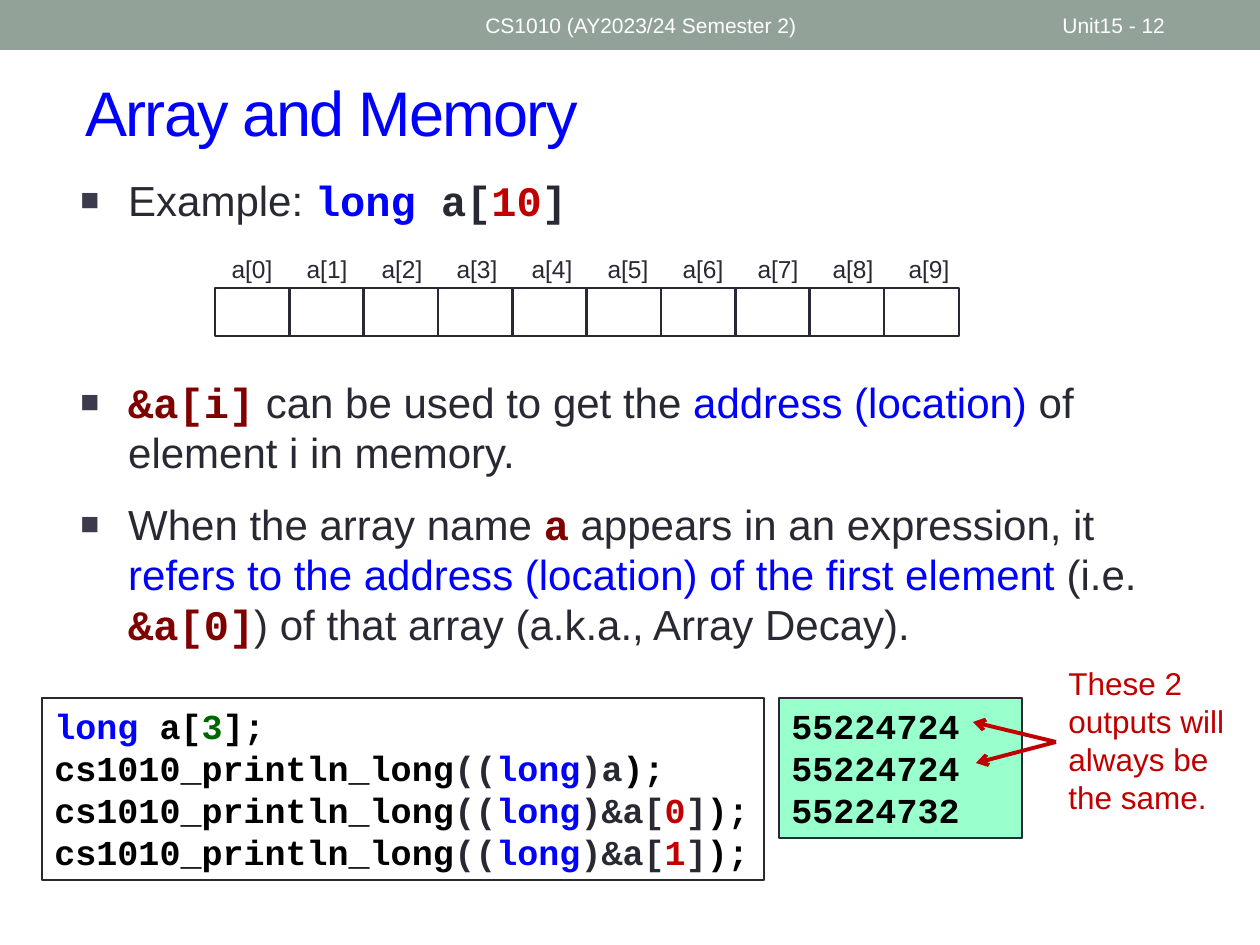
from lxml import etree
from pptx import Presentation
from pptx import util as u
from pptx.dml.color import RGBColor
from pptx.enum import shapes, text
from pptx.oxml.ns import qn

PX = 914400 / 126
HUE = {"ink": "292934", "blue": "0000FF", "red": "C00000", "wine": "800000",
       "green": "006600", "black": "000000", "white": "FFFFFF",
       "sage": "93A299", "mint": "99FFCC", "mark": "3B3B4B"}
RGB = {name: RGBColor.from_string(code) for name, code in HUE.items()}

deck = Presentation()
deck.slide_width, deck.slide_height = u.Inches(10), u.Inches(7.5)
slide = deck.slides.add_slide(deck.slide_layouts[6])


def px(*vals):
    return [u.Emu(round(v * PX)) for v in vals]


def put(box, paras, size=12, hue="ink", mono=False, fill=None, edge=None,
        align="LEFT", mid=False, bullet=False, wrap=True, track=0):
    """Each paragraph is a list of runs: plain text or (text, hue, mono)."""
    if fill or edge:
        shape = slide.shapes.add_shape(shapes.MSO_SHAPE.RECTANGLE, *px(*box))
        shape.shadow.inherit = False
        if fill:
            shape.fill.solid()
            shape.fill.fore_color.rgb = RGB[fill]
        else:
            shape.fill.background()
        if edge:
            shape.line.color.rgb = RGB["ink"]
            shape.line.width = u.Pt(edge)
        else:
            shape.line.fill.background()
    else:
        shape = slide.shapes.add_textbox(*px(*box))
    frame = shape.text_frame
    frame.word_wrap = wrap
    frame.vertical_anchor = text.MSO_ANCHOR.MIDDLE if mid else text.MSO_ANCHOR.TOP
    for n, runs in enumerate(paras):
        para = frame.add_paragraph() if n else frame.paragraphs[0]
        para.alignment = getattr(text.PP_ALIGN, align)
        if bullet:
            prop = para._p.get_or_add_pPr()
            prop.set("marL", str(u.Inches(0.38)))
            prop.set("indent", str(-u.Inches(0.38)))
            tint = etree.SubElement(prop, qn("a:buClr"))
            etree.SubElement(tint, qn("a:srgbClr"), val=HUE["mark"])
            etree.SubElement(prop, qn("a:buSzPct"), val="75000")
            etree.SubElement(prop, qn("a:buFont"), typeface="Arial")
            etree.SubElement(prop, qn("a:buChar"), char="■")
            if n:
                para.space_before = u.Pt(12)
        for part in runs:
            words, tone, code = (part, hue, mono) if isinstance(part, str) else part
            run = para.add_run()
            run.text = words
            run.font.size = u.Pt(size)
            run.font.name = "Courier New" if code else "Arial"
            run.font.bold = code
            run.font.color.rgb = RGB[tone]
            if track:
                run._r.get_or_add_rPr().set("spc", str(track))


# Header bar and title
put((0, 0, 1260, 50), [], fill="sage")
put((73, 53, 1155, 116), [["Array and Memory"]], size=36, hue="blue",
    mid=True, track=-100)

# Bullets
put((68, 168, 1120, 92), [[
    "Example: ", ("long ", "blue", True), ("a[", "ink", True),
    ("10", "red", True), ("]", "ink", True)]], size=24, bullet=True)
put((68, 370, 1120, 168), [
    [("&a[i]", "wine", True), " can be used to get the ",
     ("address (location)", "blue", False), " of element i in memory."],
    ["When the array name ", ("a", "wine", True),
     " appears in an expression, it ",
     ("refers to the address (location) of the first element ", "blue", False),
     "(i.e. ", ("&a[0]", "wine", True),
     ") of that array (a.k.a., Array Decay)."]], size=24, bullet=True)

# Array cells with their labels
for i in range(10):
    put((218 + 677 * i // 9, 248, 68, 43), [[f"a[{i}]"]], size=14,
        align="CENTER", wrap=False)
    put((215 + 669 * i // 9, 288, 75, 48), [], edge=1)

# Code
call = ["cs1010_println_long", ("((", "ink", True), ("long", "blue", True)]
lines = [[("long", "blue", True), " a[", ("3", "green", True), "];"],
         call + [(")a", "ink", True), ");"]]
for i in "01":
    lines.append(call + [(")&a[", "ink", True), (i, "red", True),
                         ("]", "ink", True), ");"])
put((42, 698, 722, 182), lines, size=20, hue="black", mono=True,
    fill="white", edge=0.75)

# Output
put((779, 698, 243, 140), [["55224724"], ["55224724"], ["55224732"]],
    size=20, hue="black", mono=True, fill="mint", edge=0.75)

# Arrows and remark
for x, y in ((973, 722), (976, 763)):
    arrow = slide.shapes.add_connector(shapes.MSO_CONNECTOR.STRAIGHT,
                                       *px(1056, 742, x, y))
    arrow.line.color.rgb = RGB["red"]
    arrow.line.width = u.Pt(2.25)
    etree.SubElement(arrow.line._get_or_add_ln(), qn("a:tailEnd"), type="arrow")
    etree.SubElement(arrow._element.spPr, qn("a:effectLst"))
put((1056, 658, 183, 165), [["These 2 outputs will always be the same."]],
    size=18, hue="red")

# Header text
put((1050, 3, 147, 45), [["Unit15 - 12"]], hue="white", mid=True)
put((473, 3, 567, 45), [["CS1010 (AY2023/24 Semester 2)"]], hue="white", mid=True)

deck.save("out.pptx")
